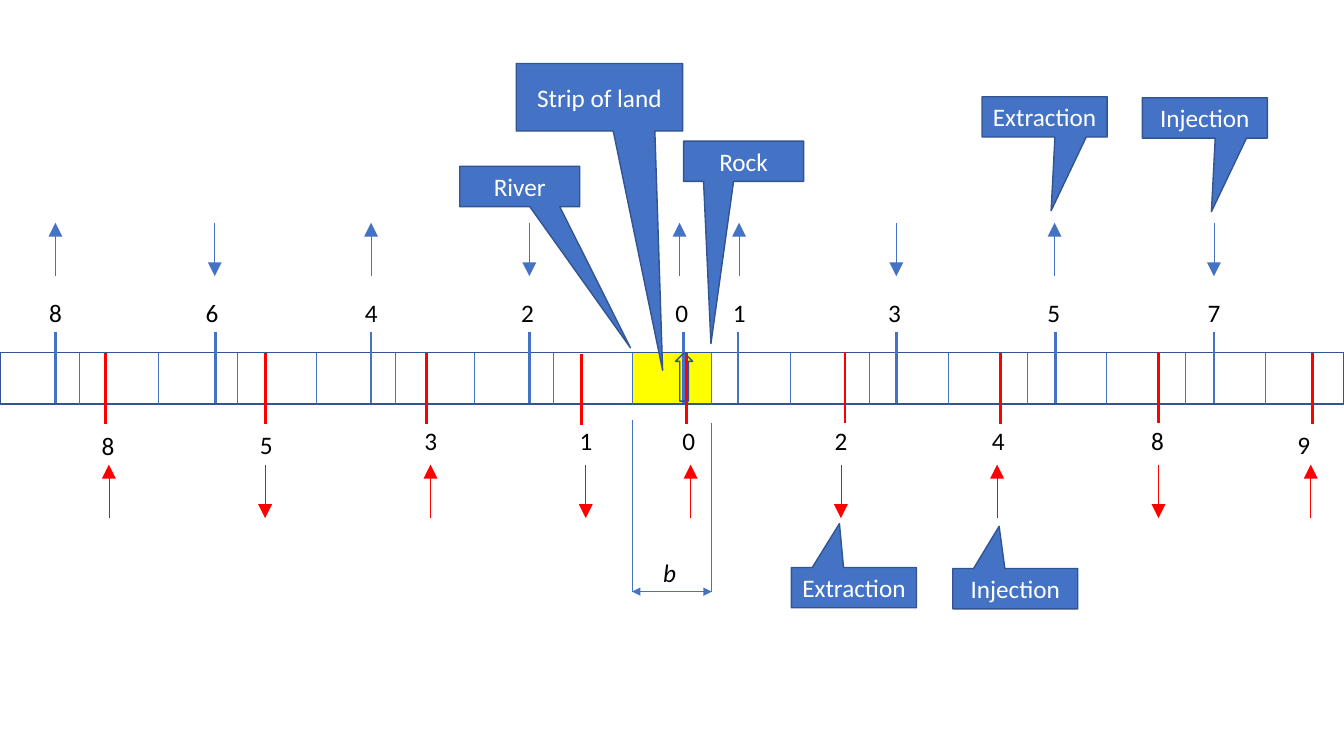
from lxml import etree
from pptx import Presentation
from pptx import util as u
from pptx.dml import color
from pptx.enum import shapes, text
from pptx.oxml import ns

BLUE, OUTLINE, RED, YELLOW = "4472C4", "325491", "FF0000", "FFFF00"
BLACK, WHITE = "000000", "FFFFFF"
CELLS = 17
TICK_LENGTH, ARROW_LENGTH = 0.71, 0.53

# Columns: label, tick x, label x, arrow x, arrow points up
UPPER_WELLS = [
    ("8", 0.55, 0.39, 0.55, True),
    ("6", 2.14, 1.94, 2.13, False),
    ("4", 3.68, 3.52, 3.68, True),
    ("2", 5.25, 5.07, 5.25, False),
    ("0", 6.78, 6.6, 6.74, True),
    ("1", 7.32, 7.17, 7.33, True),
    ("3", 8.89, 8.71, 8.89, False),
    ("5", 10.47, 10.29, 10.46, True),
    ("7", 12.04, 11.88, 12.04, False),
]
# Columns: as above, then tick top and label top
LOWER_WELLS = [
    ("8", 1.05, 0.91, 1.08, True, 3.5, 4.22),
    ("5", 2.63, 2.48, 2.63, False, 3.5, 4.21),
    ("3", 4.23, 4.11, 4.27, True, 3.5, 4.17),
    ("1", 5.77, 5.65, 5.81, False, 3.51, 4.17),
    ("0", 6.81, 6.67, 6.85, True, 3.5, 4.17),
    ("2", 8.38, 8.18, 8.34, False, 3.49, 4.17),
    ("4", 9.92, 9.74, 9.89, True, 3.5, 4.17),
    ("8", 11.49, 11.32, 11.49, False, 3.49, 4.17),
    ("9", 13.02, 12.77, 13.0, True, 3.5, 4.21),
]
# Columns: wording, box, pointer offset as a share of width and height
LAND_CALLOUTS = [
    ("River", (4.56, 1.65, 1.19, 0.4), (0.923, 4.003)),
    ("Strip of land", (5.12, 0.63, 1.65, 0.67), (0.38, 4.043)),
    ("Rock", (6.78, 1.4, 1.19, 0.4), (-0.272, 4.523)),
]
WELL_CALLOUTS = [
    ("Extraction", (9.74, 0.96, 1.24, 0.4), (0.053, 2.326)),
    ("Injection", (11.33, 0.97, 1.24, 0.4), (0.053, 2.326)),
    ("Extraction", (7.85, 5.63, 1.24, 0.4), (-0.116, -1.587)),
    ("Injection", (9.45, 5.64, 1.24, 0.4), (-0.129, -1.547)),
]


def rgb(value):
    """Turn a hex string into a colour."""
    return color.RGBColor.from_string(value)


def write(frame, wording, size=18, ink=BLACK, italic=False, align=None):
    """Put one formatted run into a text frame."""
    paragraph = frame.paragraphs[0]
    paragraph.alignment = align
    run = paragraph.add_run()
    run.text = wording
    run.font.name = "Calibri"
    run.font.size = u.Pt(size)
    run.font.italic = italic
    run.font.color.rgb = rgb(ink)


def add_label(slide, left, top, wording, **style):
    """Place a small label that does not wrap."""
    box = slide.shapes.add_textbox(*map(u.Inches, (left, top, 0.33, 0.4)))
    box.text_frame.word_wrap = False
    box.text_frame.auto_size = text.MSO_AUTO_SIZE.SHAPE_TO_FIT_TEXT
    write(box.text_frame, wording, **style)


def add_line(slide, start, end, ink=BLUE, width=0.5, ends=(), head_size="med"):
    """Draw a straight line with optional triangle ends."""
    line = slide.shapes.add_connector(
        shapes.MSO_CONNECTOR.STRAIGHT, *map(u.Inches, start + end))
    line.line.color.rgb = rgb(ink)
    line.line.width = u.Pt(width)
    outline = line.line._get_or_add_ln()
    for name in ends:
        etree.SubElement(outline, ns.qn(f"a:{name}"),
                         type="triangle", w=head_size, len=head_size)
    etree.SubElement(line._element.spPr, ns.qn("a:effectLst"))


def add_block(slide, kind, box, fill=None, outlined=True):
    """Draw a preset shape with a flat fill and a thin outline."""
    shape = slide.shapes.add_shape(kind, *map(u.Inches, box))
    shape.shadow.inherit = False
    if fill:
        shape.fill.solid()
        shape.fill.fore_color.rgb = rgb(fill)
    else:
        shape.fill.background()
    shape.line.color.rgb = rgb(OUTLINE)
    shape.line.width = u.Pt(1)
    return shape


def draw_strip(slide, box):
    """Draw the cell strip with its highlighted middle cell."""
    left, top, width, height = box
    pitch = width / CELLS
    middle = left + CELLS // 2 * pitch
    rectangle = shapes.MSO_SHAPE.RECTANGLE
    add_block(slide, rectangle, (middle, top, pitch, height), YELLOW)
    add_block(slide, rectangle, box)
    for index in range(1, CELLS):
        x = left + index * pitch
        add_line(slide, (x, top), (x, top + height))


def draw_well(slide, well, ink, tick_top, label_top, arrow_top):
    """Draw the tick, label and flow arrow of one well."""
    wording, tick_x, label_x, arrow_x, points_up = well
    add_line(slide, (tick_x, tick_top), (tick_x, tick_top + TICK_LENGTH), ink, 2)
    add_label(slide, label_x, label_top, wording)
    start, end = (arrow_x, arrow_top), (arrow_x, arrow_top + ARROW_LENGTH)
    if points_up:
        start, end = end, start
    add_line(slide, start, end, ink, ends=("tailEnd",), head_size="lg")


def draw_callouts(slide, callouts):
    """Draw a set of labelled callouts."""
    for wording, box, pointer in callouts:
        shape = add_block(slide, shapes.MSO_SHAPE.RECTANGULAR_CALLOUT, box, BLUE)
        shape.adjustments[0], shape.adjustments[1] = pointer
        frame = shape.text_frame
        frame.word_wrap = True
        frame.vertical_anchor = text.MSO_ANCHOR.MIDDLE
        write(frame, wording, ink=WHITE, align=text.PP_ALIGN.CENTER)


def draw_rise_arrow(slide, box):
    """Draw the nearly clear arrow in the middle cell."""
    arrow = add_block(slide, shapes.MSO_SHAPE.UP_ARROW, box, BLUE)
    fill = arrow._element.spPr.find(ns.qn("a:solidFill"))
    etree.SubElement(fill[0], ns.qn("a:alpha"), val="3000")


def draw_width_mark(slide, box):
    """Draw the dimension lines for the width b."""
    left, top, width, height = box
    right, bottom = left + width, top + height
    add_line(slide, (left, top), (left, bottom))
    add_line(slide, (right, top + 0.03), (right, bottom))
    add_line(slide, (left, bottom), (right, bottom), ends=("headEnd", "tailEnd"))
    add_label(slide, left + 0.21, bottom - 0.39, "b", italic=True)


def main():
    """Build and save the slide."""
    presentation = Presentation()
    presentation.slide_width = u.Inches(13.33)
    presentation.slide_height = u.Inches(7.5)
    slide = presentation.slides.add_slide(presentation.slide_layouts[6])
    draw_strip(slide, (0, 3.5, 13.33, 0.51))
    for well in UPPER_WELLS:
        draw_well(slide, well, BLUE, 3.29, 2.9, 2.21)
    for *well, tick_top, label_top in LOWER_WELLS:
        draw_well(slide, well, RED, tick_top, label_top, 4.61)
    draw_callouts(slide, LAND_CALLOUTS)
    draw_rise_arrow(slide, (6.7, 3.5, 0.17, 0.48))
    draw_width_mark(slide, (6.27, 4.17, 0.79, 1.7))
    draw_callouts(slide, WELL_CALLOUTS)
    presentation.save("out.pptx")


if __name__ == "__main__":
    main()
